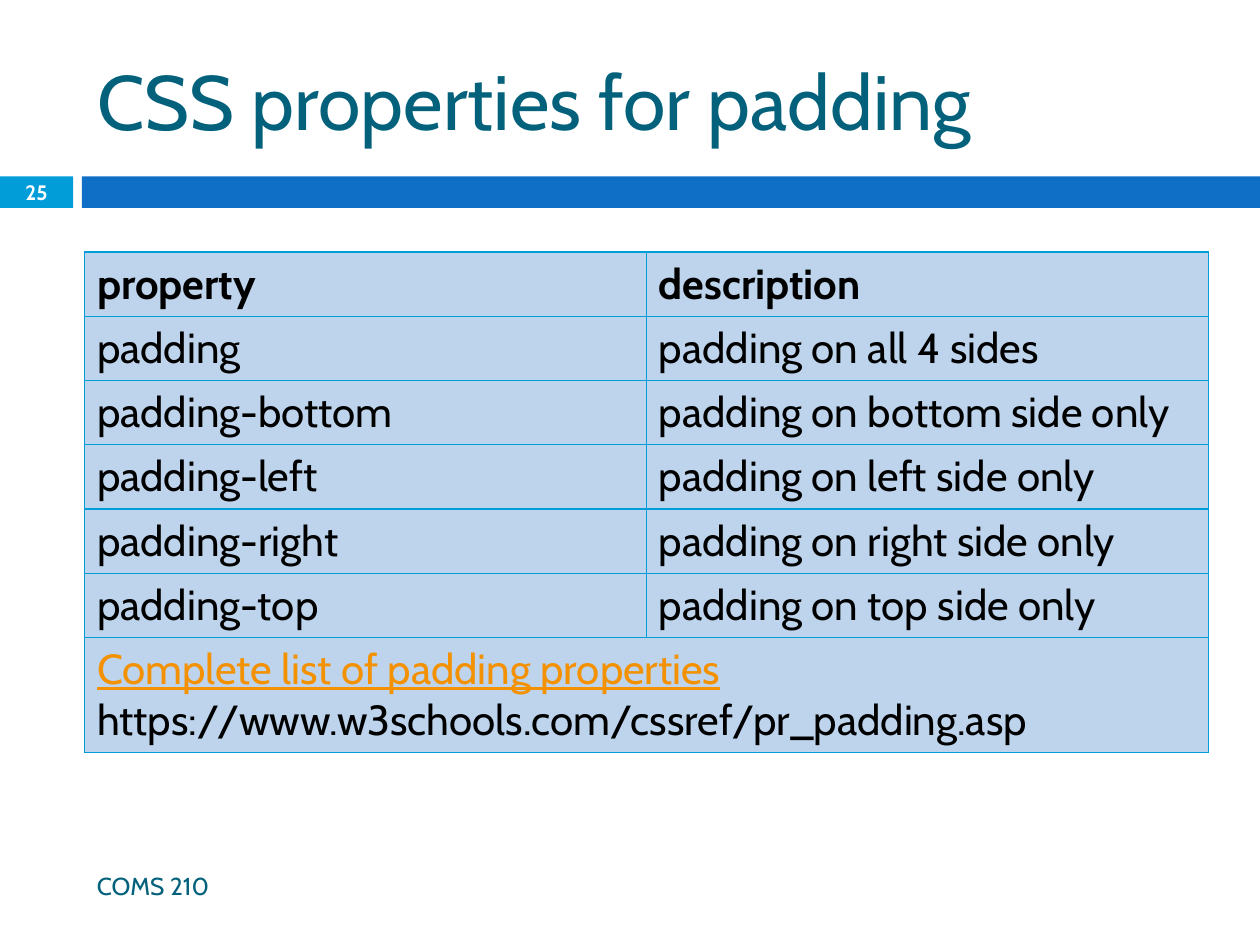
from lxml import etree
from pptx import Presentation
from pptx.dml.color import RGBColor
from pptx.enum.shapes import MSO_SHAPE
from pptx.enum.text import MSO_ANCHOR, PP_ALIGN
from pptx.oxml import parse_xml
from pptx.oxml.ns import nsdecls, qn
from pptx.util import Inches, Pt

RECTANGLE = MSO_SHAPE.RECTANGLE
MIDDLE = MSO_ANCHOR.MIDDLE
LEFT, CENTER = PP_ALIGN.LEFT, PP_ALIGN.CENTER
FONT = "Cabin"
COLORS = {
    "title": "04617B",
    "accent": "009DD9",
    "bar": "0F6FC6",
    "cell": "BDD4EC",
    "text": "000000",
    "link": "F49100",
    "white": "FFFFFF",
}
ROWS = [
    ("property", "description"),
    ("padding", "padding on all 4 sides"),
    ("padding-bottom", "padding on bottom side only"),
    ("padding-left", "padding on left side only"),
    ("padding-right", "padding on right side only"),
    ("padding-top", "padding on top side only"),
    ("Complete list of padding properties\nhttps://www.w3schools.com/cssref/pr_padding.asp", ""),
]


def style(paragraph, size, color, bold=False, align=LEFT):
    paragraph.alignment = align
    paragraph.font.name = FONT
    paragraph.font.size = Pt(size)
    paragraph.font.bold = bold
    paragraph.font.color.rgb = RGBColor.from_string(COLORS[color])


def add_border(cell):
    properties = cell._tc.get_or_add_tcPr()
    for side in ("lnL", "lnR", "lnT", "lnB"):
        line = parse_xml(f'<a:{side} {nsdecls("a")} w="{Pt(0.79)}"/>')
        fill = etree.SubElement(line, qn("a:solidFill"))
        etree.SubElement(fill, qn("a:srgbClr"), val=COLORS["accent"])
        properties.append(line)


deck = Presentation()
deck.slide_width = Inches(10)
deck.slide_height = Inches(7.5)
page = deck.slides.add_slide(deck.slide_layouts[5])

for left, width, color in ((0, 0.58, "accent"), (0.65, 9.35, "bar")):
    bar = page.shapes.add_shape(RECTANGLE, Inches(left), Inches(1.4), Inches(width), Inches(0.25))
    bar.shadow.inherit = False
    bar.fill.solid()
    bar.fill.fore_color.rgb = RGBColor.from_string(COLORS[color])
    bar.line.fill.background()

title = page.shapes.title
title.left, title.top = Inches(0.67), Inches(0.25)
title.width, title.height = Inches(8.92), Inches(1.08)
title.text_frame.text = "CSS properties for padding"
title.text_frame.vertical_anchor = MIDDLE
style(title.text_frame.paragraphs[0], 44, "title")

frame = page.shapes.add_table(len(ROWS), 2, Inches(0.67), Inches(2), Inches(8.92), Inches(3.95))
table = frame.table
table.horz_banding = False
for column in table.columns:
    column.width = Inches(4.46)
for row_index, texts in enumerate(ROWS):
    is_last = row_index == len(ROWS) - 1
    table.rows[row_index].height = Inches(0.91 if is_last else 0.51)
    for column_index, text in enumerate(texts):
        cell = table.cell(row_index, column_index)
        cell.text = text
        cell.vertical_anchor = MIDDLE
        add_border(cell)
        cell.fill.solid()
        cell.fill.fore_color.rgb = RGBColor.from_string(COLORS["cell"])
        for paragraph in cell.text_frame.paragraphs:
            style(paragraph, 24, "text", bold=row_index == 0)

source_cell = table.cell(len(ROWS) - 1, 0)
source_cell.merge(table.cell(len(ROWS) - 1, 1))
link = source_cell.text_frame.paragraphs[0]
style(link, 24, "link")
link.font.underline = True

LABELS = [
    ("COMS 210", 0.67, 6.83, 5.93, 0.4, 14, "title", False, LEFT, 0.1),
    ("25", 0, 1.39, 0.58, 0.27, 11.9, "white", True, CENTER, 0),
]
for text, left, top, width, height, size, color, bold, align, margin in LABELS:
    box = page.shapes.add_textbox(Inches(left), Inches(top), Inches(width), Inches(height))
    box.text_frame.word_wrap = True
    box.text_frame.vertical_anchor = MIDDLE
    box.text_frame.margin_left = box.text_frame.margin_right = Inches(margin)
    box.text_frame.margin_top = box.text_frame.margin_bottom = 0
    box.text_frame.text = text
    style(box.text_frame.paragraphs[0], size, color, bold, align)

deck.save("out.pptx")
